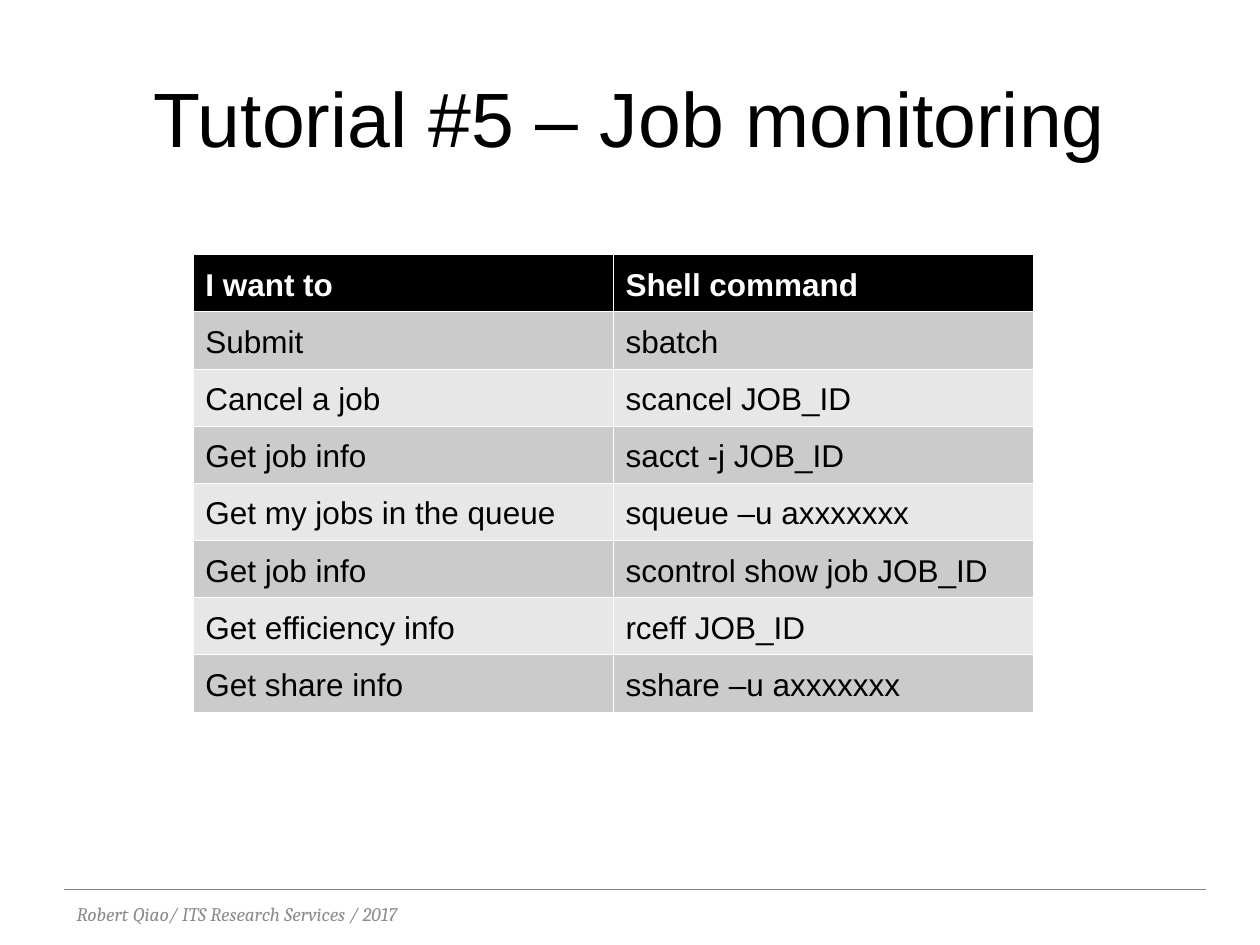
from lxml.etree import SubElement
from pptx import Presentation
from pptx.dml.color import RGBColor
from pptx.enum.text import MSO_ANCHOR, PP_ALIGN
from pptx.oxml.ns import qn
from pptx.util import Inches, Pt

COLORS = {
    "black": "000000",
    "white": "FFFFFF",
    "dark_band": "CBCBCB",
    "light_band": "E7E7E7",
    "rule": "808285",
    "footer": "8B8B8B",
}
COMMANDS = [
    ("I want to", "Shell command"),
    ("Submit", "sbatch"),
    ("Cancel a job", "scancel JOB_ID"),
    ("Get job info", "sacct -j JOB_ID"),
    ("Get my jobs in the queue", "squeue –u axxxxxxx"),
    ("Get job info", "scontrol show job JOB_ID"),
    ("Get efficiency info", "rceff JOB_ID"),
    ("Get share info", "sshare –u axxxxxxx"),
]
TABLE_WIDTH = Inches(6.67)
TABLE_HEIGHT = Inches(3.63)


def set_font(paragraph, name, size, color, bold=False, italic=False):
    font = paragraph.font
    font.name, font.size = name, Pt(size)
    font.bold, font.italic = bold, italic
    font.color.rgb = RGBColor.from_string(COLORS[color])


def add_border(cell, side, width):
    properties = cell._tc.get_or_add_tcPr()
    border = SubElement(properties, qn(f"a:ln{side}"), w=str(Pt(width)))
    fill = SubElement(border, qn("a:solidFill"))
    SubElement(fill, qn("a:srgbClr"), val=COLORS["white"])


presentation = Presentation()
presentation.slide_width = Inches(10)
presentation.slide_height = Inches(7.5)
slide = presentation.slides.add_slide(presentation.slide_layouts[5])

rule = slide.shapes.add_connector(1, Inches(0.51), Inches(7.06), Inches(9.57), Inches(7.06))
rule.line.color.rgb = RGBColor.from_string(COLORS["rule"])
rule.line.width = Pt(0.75)
SubElement(rule._element.spPr, qn("a:effectLst"))

title = slide.shapes.title
title.left, title.top = Inches(0.5), Inches(0.3)
title.width, title.height = Inches(9), Inches(1.25)
title_frame = title.text_frame
title_frame.text = "Tutorial #5 – Job monitoring"
title_frame.vertical_anchor = MSO_ANCHOR.MIDDLE
title_frame.margin_left = title_frame.margin_right = 0
title_frame.margin_top = title_frame.margin_bottom = 0
title_frame.paragraphs[0].alignment = PP_ALIGN.CENTER
set_font(title_frame.paragraphs[0], "Arial", 44, "black")

table = slide.shapes.add_table(
    len(COMMANDS), 2, Inches(1.53), Inches(2.02), TABLE_WIDTH, TABLE_HEIGHT
).table
for row_index, texts in enumerate(COMMANDS):
    header = row_index == 0
    band = "black" if header else "dark_band" if row_index % 2 else "light_band"
    for column_index, text in enumerate(texts):
        cell = table.cell(row_index, column_index)
        cell.text = text
        cell.margin_left = cell.margin_right = Inches(0.1)
        cell.margin_top, cell.margin_bottom = Inches(0.15), Inches(0.05)
        for side in "LRTB":
            header_edge = (side == "B" and header) or (side == "T" and row_index == 1)
            add_border(cell, side, 0.34 if header_edge else 0.11)
        cell.fill.solid()
        cell.fill.fore_color.rgb = RGBColor.from_string(COLORS[band])
        paragraph = cell.text_frame.paragraphs[0]
        paragraph.line_spacing = 0.81
        set_font(paragraph, "Arial", 18, "white" if header else "black", bold=header)

footer = slide.shapes.add_textbox(Inches(0.51), Inches(7.05), Inches(4.33), Inches(0.4))
footer_frame = footer.text_frame
footer_frame.word_wrap = True
footer_frame.vertical_anchor = MSO_ANCHOR.MIDDLE
footer_frame.text = "Robert Qiao/ ITS Research Services / 2017"
set_font(footer_frame.paragraphs[0], "Cambria", 11, "footer", italic=True)

presentation.save("out.pptx")
